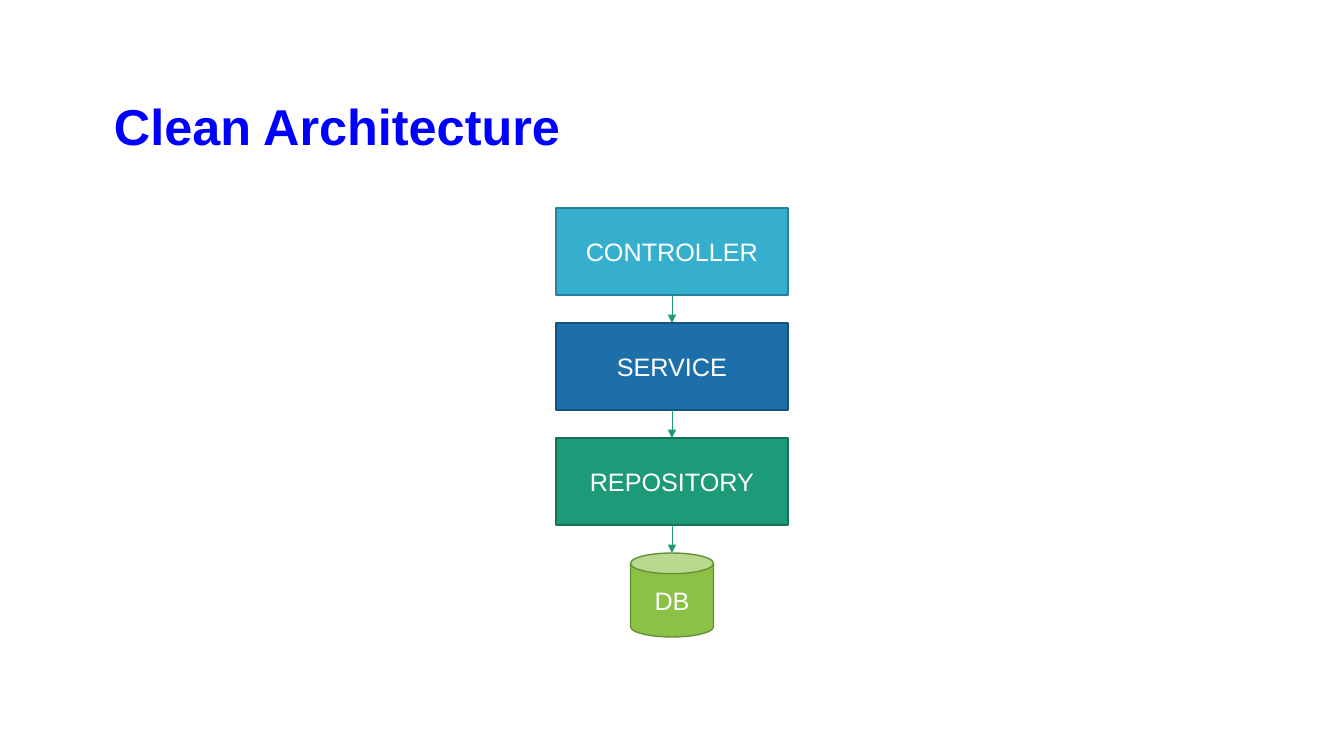
import pptx
import pptx.util
import pptx.dml.color
import pptx.enum.shapes
import pptx.enum.text
import pptx.oxml.ns
import lxml.etree

EMU_PER_PX = 914400 / 100.8
FONT = "Arial"
COLORS = {
    "title": "0000FF",
    "text": "FFFFFF",
    "arrow": "1D9A78",
    "controller": "36AFCE",
    "controller_line": "288198",
    "service": "1D6FA9",
    "service_line": "15527D",
    "repository": "1D9A78",
    "repository_line": "157259",
    "db": "8BC145",
    "db_line": "678F33",
}
LAYERS = ["controller", "service", "repository"]
LAYER_HEIGHT = 87
GAP = 28
DB_SIZE = (83, 84)


def px(length):
    return pptx.util.Emu(round(length * EMU_PER_PX))


def color(name):
    return pptx.dml.color.RGBColor.from_string(COLORS[name])


def write(shape, text, size, color_name, align, bold=False):
    frame = shape.text_frame
    frame.word_wrap = True
    frame.vertical_anchor = pptx.enum.text.MSO_ANCHOR.MIDDLE
    para = frame.paragraphs[0]
    para.alignment = align
    span = para.add_run()
    span.text = text
    span.font.name = FONT
    span.font.size = pptx.util.Pt(size)
    span.font.bold = bold
    span.font.color.rgb = color(color_name)
    return para


def add_title(page, box, text):
    title = page.shapes.add_textbox(*map(px, box))
    para = write(title, text, 36, "title", pptx.enum.text.PP_ALIGN.LEFT, bold=True)
    para.line_spacing = 0.9


def add_node(page, box, kind, name):
    node = page.shapes.add_shape(kind, *map(px, box))
    node.shadow.inherit = False
    node.fill.solid()
    node.fill.fore_color.rgb = color(name)
    node.line.color.rgb = color(name + "_line")
    node.line.width = pptx.util.Pt(1)
    write(node, name.upper(), 18, "text", pptx.enum.text.PP_ALIGN.CENTER)


def add_arrow(page, x, top, bottom):
    arrow = page.shapes.add_connector(
        pptx.enum.shapes.MSO_CONNECTOR.STRAIGHT, px(x), px(top), px(x), px(bottom))
    arrow.line.color.rgb = color("arrow")
    arrow.line.width = pptx.util.Pt(0.5)
    # Arrowhead at the lower end, no shadow
    qn = pptx.oxml.ns.qn
    lxml.etree.SubElement(arrow.line._get_or_add_ln(), qn("a:tailEnd"), type="triangle")
    lxml.etree.SubElement(arrow._element.spPr, qn("a:effectLst"))


def add_layer_stack(page, box):
    left, top, width, _ = box
    center = left + width / 2
    shapes = pptx.enum.shapes.MSO_SHAPE
    # Layers, each with an arrow to the next part
    for name in LAYERS:
        add_node(page, (left, top, width, LAYER_HEIGHT), shapes.RECTANGLE, name)
        bottom = top + LAYER_HEIGHT
        top = bottom + GAP
        add_arrow(page, center, bottom, top)
    # Database below the last layer
    db_width, db_height = DB_SIZE
    add_node(page, (center - db_width / 2, top, db_width, db_height), shapes.CAN, "db")


def main():
    deck = pptx.Presentation()
    deck.slide_width, deck.slide_height = px(1344), px(756)
    page = deck.slides.add_slide(deck.slide_layouts[6])
    add_title(page, (104, 105, 1136, 48), "Clean Architecture")
    add_layer_stack(page, (556, 208, 232, 429))
    deck.save("out.pptx")


if __name__ == "__main__":
    main()
